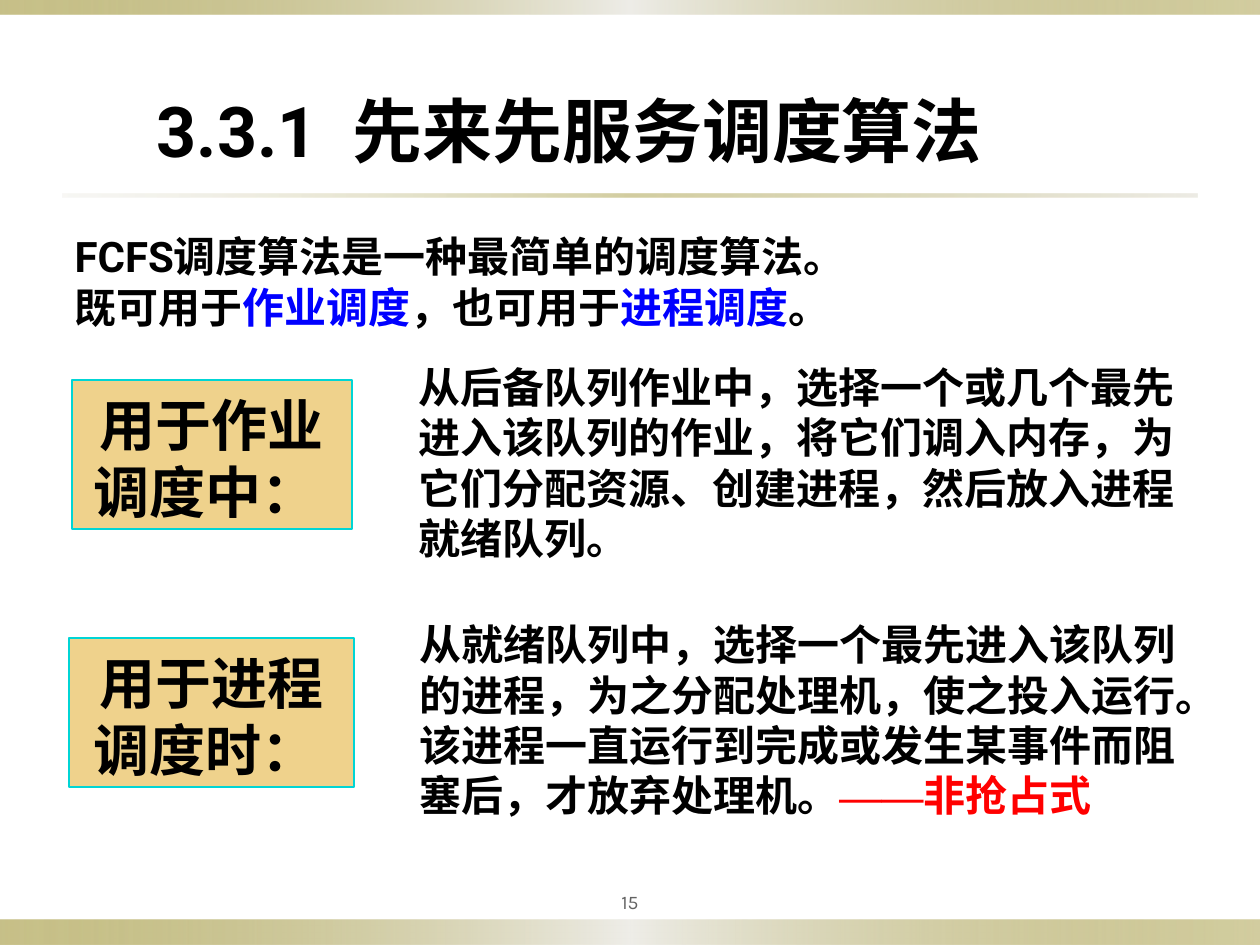
"""Build the slide on first-come, first-served scheduling."""
from dataclasses import dataclass

import lxml.etree
import pptx
import pptx.dml.color
import pptx.enum.shapes
import pptx.enum.text
import pptx.oxml.ns
import pptx.util

RGB = pptx.dml.color.RGBColor
ALIGN = pptx.enum.text.PP_ALIGN
ANCHOR = pptx.enum.text.MSO_ANCHOR
RECTANGLE = pptx.enum.shapes.MSO_SHAPE.RECTANGLE
qn = pptx.oxml.ns.qn

EMU_PER_PX = 914400 / 126
BLACK = RGB(0x00, 0x00, 0x00)
BLUE = RGB(0x00, 0x00, 0xFF)
RED = RGB(0xFF, 0x00, 0x00)
GREY = RGB(0x63, 0x63, 0x63)
SAND = RGB(0xEF, 0xD2, 0x8C)
CYAN = RGB(0x00, 0xD5, 0xD5)
OLIVE = RGB(0x91, 0x84, 0x15)
PALE = RGB(0xEE, 0xED, 0xE8)
MIST = RGB(0xDC, 0xD9, 0xCC)
CJK = "Noto Sans CJK SC"
LATIN = "Roboto"


@dataclass(frozen=True)
class Area:
    left: int
    top: int
    width: int
    height: int


@dataclass(frozen=True)
class Span:
    text: str
    font: str = CJK
    color: RGB = BLACK


@dataclass(frozen=True)
class Stop:
    percent: int
    color: RGB
    opacity: int


@dataclass(frozen=True)
class Band:
    area: Area
    stops: tuple[Stop, ...]


@dataclass(frozen=True)
class Usage:
    label: str
    label_area: Area
    rule: tuple[Span, ...]
    rule_area: Area


EDGE = (Stop(0, OLIVE, 50), Stop(50, PALE, 100), Stop(100, OLIVE, 40))
RULE = (Stop(0, MIST, 20), Stop(50, OLIVE, 40), Stop(100, MIST, 50))
BANDS = (
    Band(Area(0, 920, 1260, 25), EDGE),
    Band(Area(0, 0, 1260, 15), EDGE),
    Band(Area(63, 194, 1134, 3), RULE),
)
INTRO = (
    (Span("FCFS", LATIN), Span("调度算法是一种最简单的调度算法。")),
    (Span("既可用于"), Span("作业调度", color=BLUE), Span("，也可用于"),
     Span("进程调度", color=BLUE), Span("。")),
)
USAGES = (
    Usage("用于作业调度中： ", Area(72, 380, 280, 149),
          (Span("从后备队列作业中，选择一个或几个最先进入该队列的作业，将它们调入内存，"
                "为它们分配资源、创建进程，然后放入进程就绪队列。"),),
          Area(406, 352, 798, 214)),
    Usage("用于进程调度时： ", Area(69, 638, 285, 149),
          (Span("从就绪队列中，选择一个最先进入该队列的进程，为之分配处理机，使之投入运行。"
                "该进程一直运行到完成或发生某事件而阻塞后，才放弃处理机。"),
           Span("——", "Times New Roman", RED), Span("非抢占式", color=RED)),
          Area(407, 609, 813, 217)),
)


def px(length: float) -> pptx.util.Emu:
    """Turn pixels into EMU."""
    return pptx.util.Emu(round(length * EMU_PER_PX))


def bounds(area: Area) -> tuple[pptx.util.Emu, ...]:
    """Give left, top, width and height in EMU."""
    return px(area.left), px(area.top), px(area.width), px(area.height)


def place(shape, area: Area) -> None:
    """Move and size a shape."""
    shape.left, shape.top, shape.width, shape.height = bounds(area)


def write_text(shape, paragraphs, *, size: int, bold: bool = True,
               align=ALIGN.LEFT, anchor=ANCHOR.TOP) -> None:
    """Fill a shape with formatted paragraphs of spans."""
    frame = shape.text_frame
    frame.word_wrap = True
    frame.auto_size = pptx.enum.text.MSO_AUTO_SIZE.NONE
    frame.vertical_anchor = anchor
    frame.margin_left = frame.margin_right = px(12.6)
    frame.margin_bottom = px(6)
    frame.margin_top = px(6 + size * 0.15) if anchor == ANCHOR.TOP else px(6)
    for index, spans in enumerate(paragraphs):
        paragraph = frame.paragraphs[0] if index == 0 else frame.add_paragraph()
        paragraph.alignment = align
        paragraph.line_spacing = pptx.util.Pt(size * 1.2)
        paragraph.space_before = pptx.util.Pt(0)
        for span in spans:
            run = paragraph.add_run()
            run.text = span.text
            run.font.size = pptx.util.Pt(size)
            run.font.bold = bold
            run.font.name = span.font
            run.font.color.rgb = span.color
            properties = run.font._element
            lxml.etree.SubElement(properties, qn("a:ea"), typeface=span.font)


def remove_bullets(shape) -> None:
    """Clear bullets and indents from every paragraph."""
    for paragraph in shape.text_frame.paragraphs:
        properties = paragraph._p.get_or_add_pPr()
        properties.set("marL", "0")
        properties.set("indent", "0")
        lxml.etree.SubElement(properties, qn("a:buNone"))


def add_box(slide, area: Area):
    """Add a rectangle without a shadow."""
    box = slide.shapes.add_shape(RECTANGLE, *bounds(area))
    box.shadow.inherit = False
    return box


def add_band(slide, band: Band) -> None:
    """Add a horizontal gradient band."""
    box = add_box(slide, band.area)
    box.line.fill.background()
    box.fill.gradient()
    box.fill.gradient_angle = 0
    stop_list = box._element.spPr.find(".//" + qn("a:gsLst"))
    for default_stop in list(stop_list):
        stop_list.remove(default_stop)
    for stop in band.stops:
        entry = lxml.etree.SubElement(stop_list, qn("a:gs"), pos=str(stop.percent * 1000))
        color = lxml.etree.SubElement(entry, qn("a:srgbClr"), val=str(stop.color))
        lxml.etree.SubElement(color, qn("a:alpha"), val=str(stop.opacity * 1000))


def add_text(slide, area: Area, paragraphs, **text_format) -> None:
    """Add a text box."""
    write_text(slide.shapes.add_textbox(*bounds(area)), paragraphs, **text_format)


def add_usage(slide, usage: Usage) -> None:
    """Add a labelled box and the rule beside it."""
    label = add_box(slide, usage.label_area)
    label.fill.solid()
    label.fill.fore_color.rgb = SAND
    label.line.color.rgb = CYAN
    label.line.width = pptx.util.Pt(0.75)
    write_text(label, [[Span(usage.label)]], size=32, align=ALIGN.CENTER)
    add_text(slide, usage.rule_area, [usage.rule], size=24)


def main() -> None:
    """Build and save the slide."""
    deck = pptx.Presentation()
    deck.slide_width, deck.slide_height = px(1260), px(945)
    slide = deck.slides.add_slide(deck.slide_layouts[1])
    for band in BANDS:
        add_band(slide, band)
    title = slide.shapes.title
    place(title, Area(144, 76, 903, 97))
    write_text(title, [[Span("3.3.1  ", LATIN), Span("先来先服务调度算法")]], size=40)
    intro = slide.placeholders[1]
    place(intro, Area(62, 221, 1163, 113))
    write_text(intro, INTRO, size=24)
    remove_bullets(intro)
    for usage in USAGES:
        add_usage(slide, usage)
    add_text(slide, Area(567, 882, 126, 39), [[Span("15", "Karla", GREY)]],
             size=11, bold=False, align=ALIGN.CENTER, anchor=ANCHOR.MIDDLE)
    deck.save("out.pptx")


if __name__ == "__main__":
    main()
